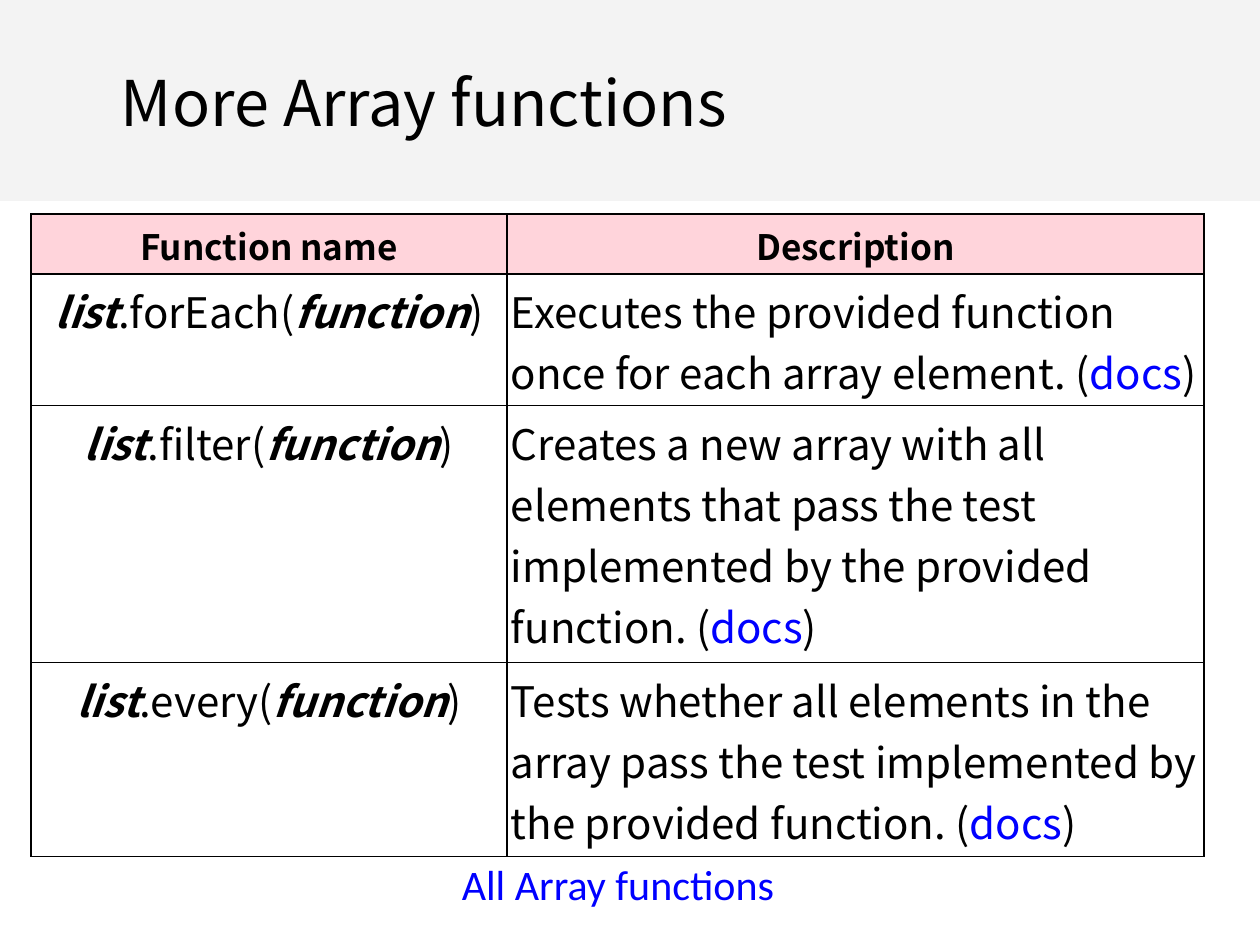
from lxml.etree import SubElement
from pptx import Presentation
from pptx.dml.color import RGBColor
from pptx.enum.shapes import MSO_SHAPE
from pptx.enum.text import MSO_ANCHOR, PP_ALIGN
from pptx.oxml.ns import qn
from pptx.util import Pt

PX = 914400 / 126
BLACK = RGBColor(0x00, 0x00, 0x00)
BLUE = RGBColor(0x00, 0x00, 0xFF)
GRAY = RGBColor(0xF3, 0xF3, 0xF3)
PINK = RGBColor(0xFF, 0xC2, 0xCC)
SANS = "Noto Sans CJK SC"
LINK_FONT = "Calibri"

BODY = {"name": SANS, "size": Pt(24), "bold": False, "italic": False}
HEADER = BODY | {"size": Pt(20), "bold": True}
PARAM = BODY | {"bold": True, "italic": True}
TITLE = BODY | {"size": Pt(36)}
LINK = BODY | {"name": LINK_FONT}

COLUMNS = [476, 697]
ROWS = [60, 132, 257, 194]
HEADINGS = ["Function name", "Description"]
FUNCTIONS = [
    ("forEach", "Executes the provided function once for each array element."),
    ("filter", "Creates a new array with all elements that pass the test "
               "implemented by the provided function."),
    ("every", "Tests whether all elements in the array pass the test "
              "implemented by the provided function."),
]


def px(n):
    return round(n * PX)


def set_attrs(obj, values):
    for key, value in values.items():
        setattr(obj, key, value)


def write(tf, runs, align):
    p = tf.paragraphs[0]
    p.alignment = align
    for text, style, color in runs:
        r = p.add_run()
        r.text = text
        set_attrs(r.font, style)
        r.font.color.rgb = color


def add_band(s, *box):
    sp = s.shapes.add_shape(MSO_SHAPE.RECTANGLE, *map(px, box))
    sp.shadow.inherit = False
    sp.fill.solid()
    sp.fill.fore_color.rgb = GRAY
    sp.line.fill.background()


def add_text(s, box, runs, align, anchor):
    tf = s.shapes.add_textbox(*map(px, box)).text_frame
    margins = ("margin_left", "margin_top", "margin_right", "margin_bottom")
    set_attrs(tf, dict.fromkeys(margins, px(13)))
    set_attrs(tf, {"word_wrap": True, "vertical_anchor": anchor})
    write(tf, runs, align)


def add_borders(cell):
    tc_pr = cell._tc.get_or_add_tcPr()
    for tag in ("a:lnL", "a:lnR", "a:lnT", "a:lnB"):
        ln = SubElement(tc_pr, qn(tag), w=str(Pt(0.75)))
        SubElement(SubElement(ln, qn("a:solidFill")), qn("a:srgbClr"), val=str(BLACK))


def fill_header(cell):
    cell.fill.solid()
    cell.fill.fore_color.rgb = PINK
    color = cell._tc.tcPr.find(".//" + qn("a:solidFill") + "/" + qn("a:srgbClr") + f"[@val='{PINK}']")
    SubElement(color, qn("a:alpha"), val="70000")


def fill_cell(cell, runs, align, header=False):
    set_attrs(cell, {"margin_left": px(4), "margin_right": px(4),
                     "margin_top": px(6), "margin_bottom": px(6),
                     "vertical_anchor": MSO_ANCHOR.TOP})
    write(cell.text_frame, runs, align)
    add_borders(cell)
    if header:
        fill_header(cell)
    else:
        cell.fill.background()


def add_function_table(s, left, top):
    box = (left, top, sum(COLUMNS), sum(ROWS))
    table = s.shapes.add_table(len(ROWS), len(COLUMNS), *map(px, box)).table
    set_attrs(table, {"first_row": False, "horz_banding": False})
    for column, width in zip(table.columns, COLUMNS):
        column.width = px(width)
    for row, height in zip(table.rows, ROWS):
        row.height = px(height)
    for i, heading in enumerate(HEADINGS):
        fill_cell(table.cell(0, i), [(heading, HEADER, BLACK)], PP_ALIGN.CENTER, True)
    for i, (name, description) in enumerate(FUNCTIONS, 1):
        signature = [("list", PARAM, BLACK), (f".{name}(", BODY, BLACK),
                     ("function", PARAM, BLACK), (")", BODY, BLACK)]
        details = [(f"{description} (", BODY, BLACK), ("docs", BODY, BLUE), (")", BODY, BLACK)]
        fill_cell(table.cell(i, 0), signature, PP_ALIGN.CENTER)
        fill_cell(table.cell(i, 1), details, PP_ALIGN.LEFT)


def main():
    prs = Presentation()
    set_attrs(prs, {"slide_width": px(1260), "slide_height": px(945)})
    s = prs.slides.add_slide(prs.slide_layouts[6])
    add_band(s, 0, 0, 1260, 201)
    add_text(s, (108, 48, 1045, 104), [("More Array functions", TITLE, BLACK)],
             PP_ALIGN.LEFT, MSO_ANCHOR.BOTTOM)
    add_function_table(s, 31, 214)
    add_text(s, (112, 845, 1012, 118), [("All Array functions", LINK, BLUE)],
             PP_ALIGN.CENTER, MSO_ANCHOR.TOP)
    prs.save("out.pptx")


if __name__ == "__main__":
    main()
